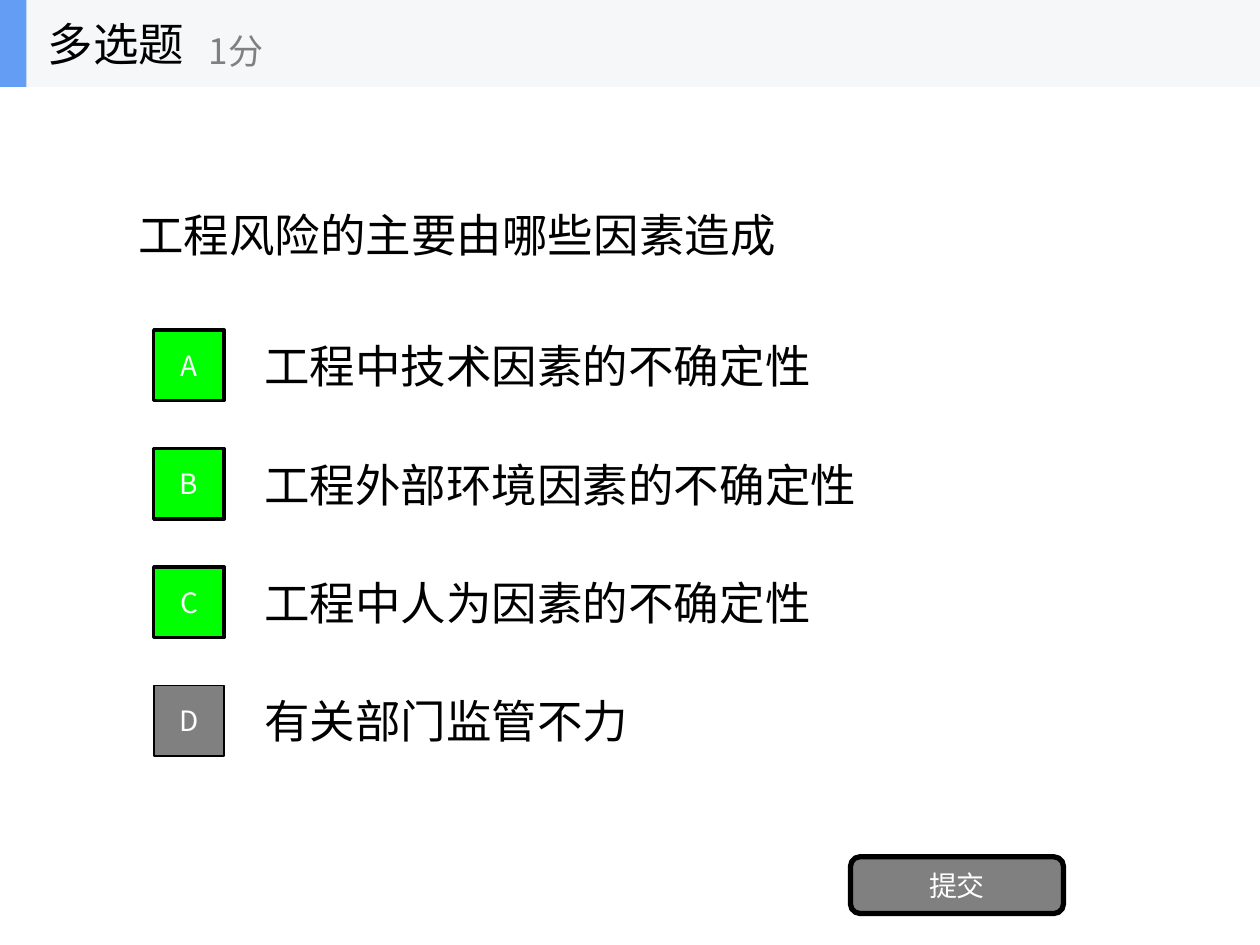
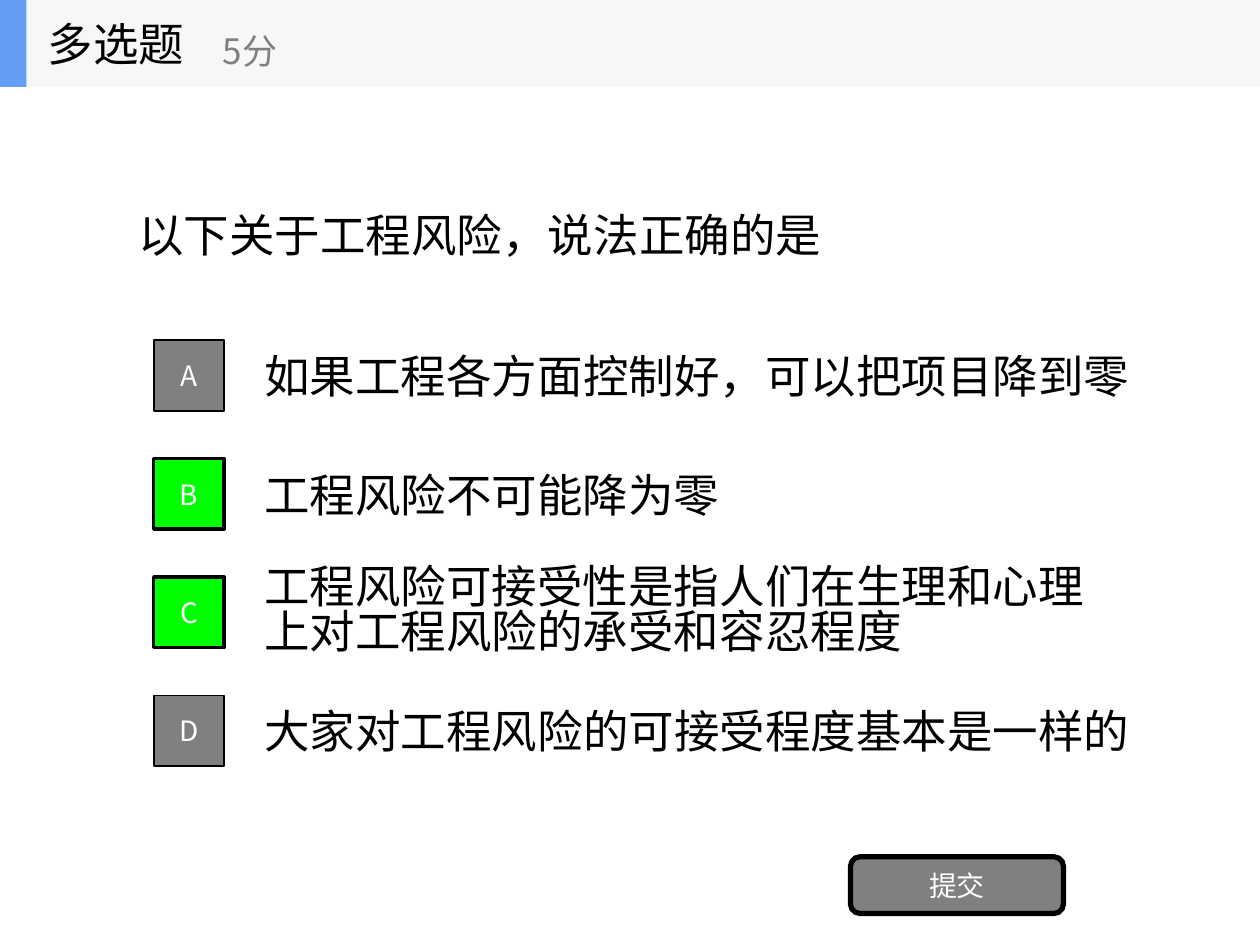
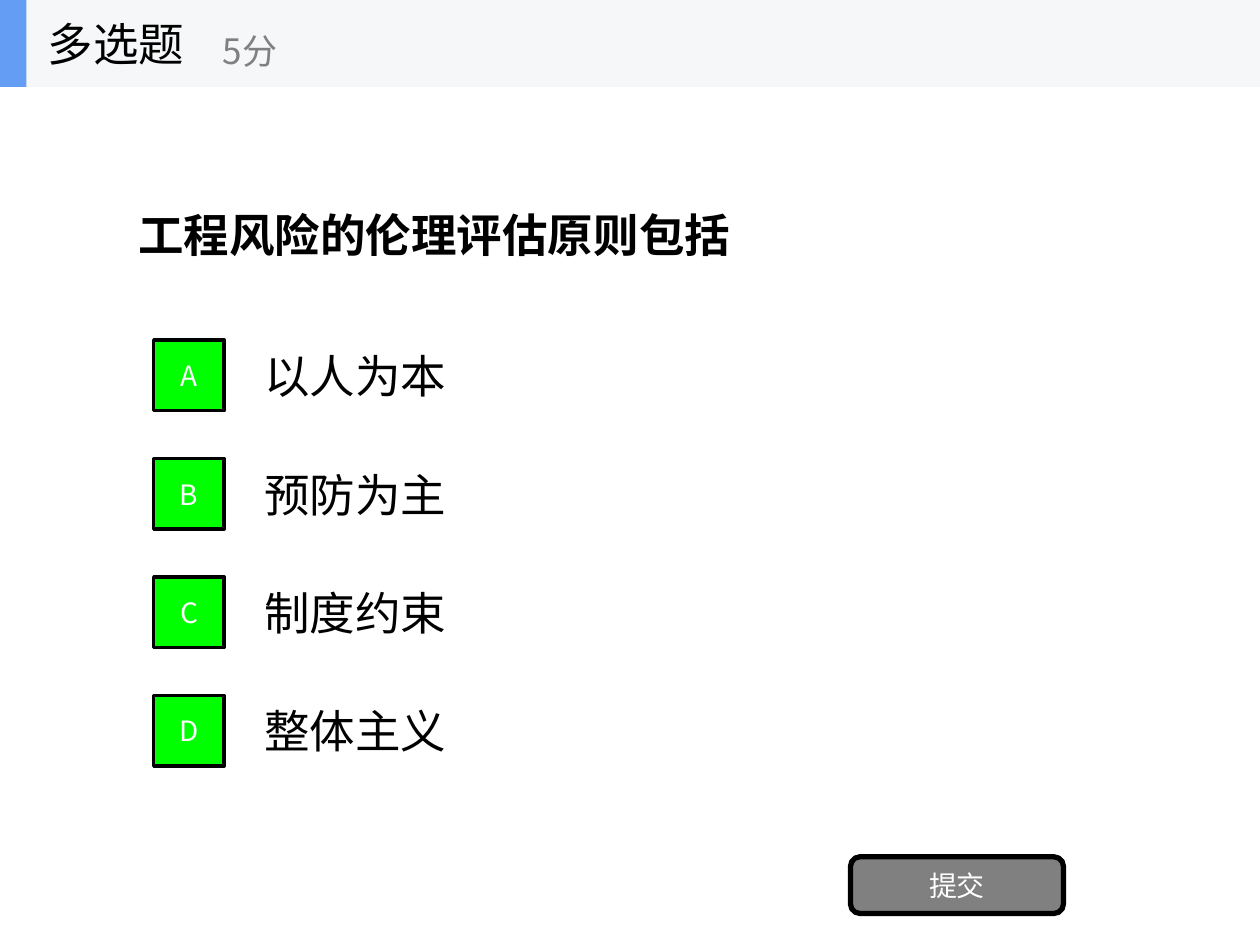
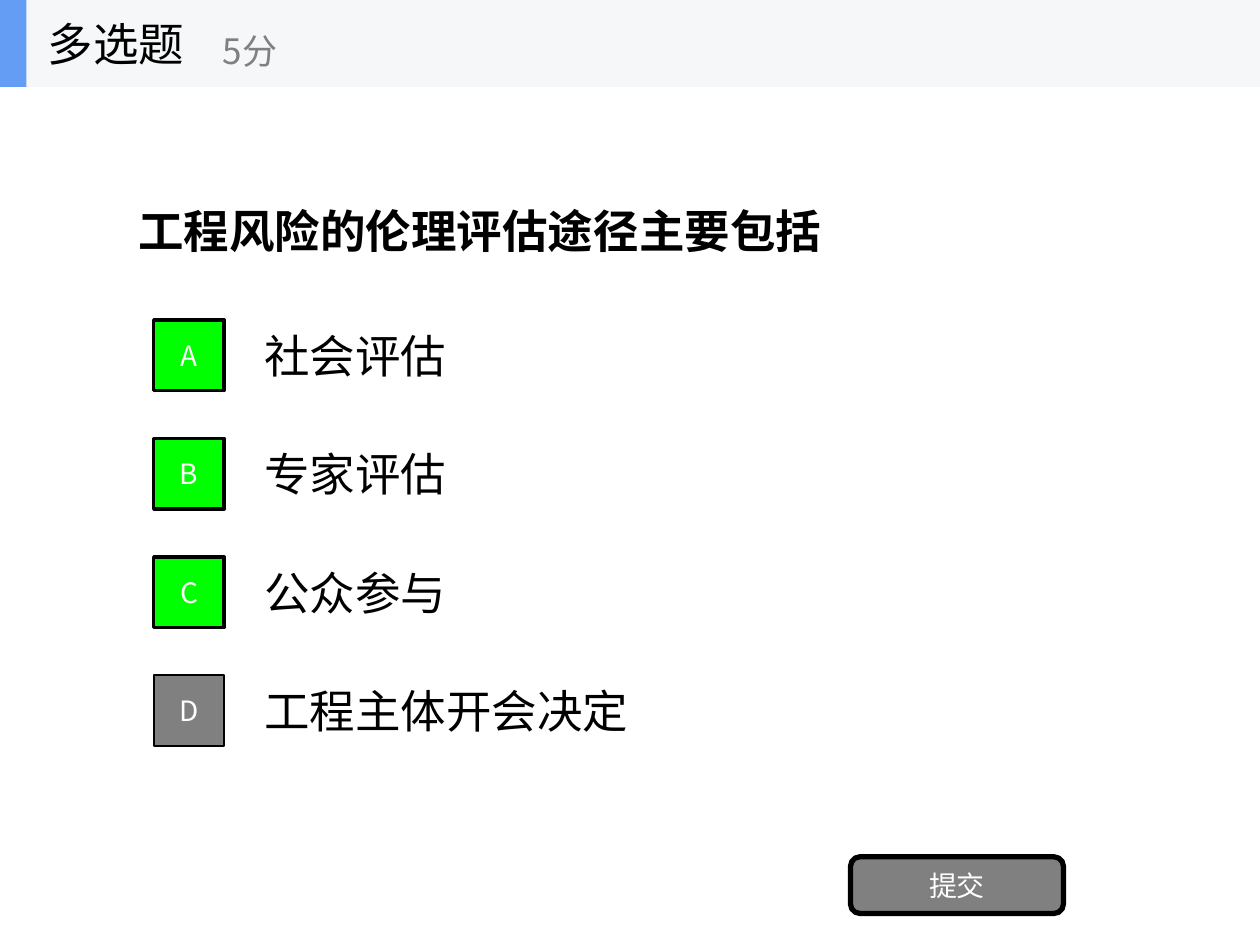
from pptx import Presentation
from pptx.dml.color import RGBColor
from pptx.enum import shapes, text
from pptx.oxml import ns, xmlchemy
from pptx.util import Inches, Pt

COLORS = {
    "ink": "000000",
    "white": "FFFFFF",
    "grey": "808080",
    "correct": "00FF00",
    "band": "F6F7F8",
    "accent": "639EF4",
}
BODY_FONT = "Noto Sans CJK SC"
HEADING_FONT = "Cabin"
BAND_HEIGHT = 0.69
ROW_PITCH = 0.94
MARKER_SIZE = 0.56

QUESTIONS = [
    {
        "score": "1分", "score_left": 1.56, "first_row": 2.62,
        "question": "工程风险的主要由哪些因素造成",
        "options": ["工程中技术因素的不确定性", "工程外部环境因素的不确定性",
                    "工程中人为因素的不确定性", "有关部门监管不力"],
        "correct": "ABC",
    },
    {
        "question": "以下关于工程风险，说法正确的是",
        "options": ["如果工程各方面控制好，可以把项目降到零", "工程风险不可能降为零",
                    "工程风险可接受性是指人们在生理和心理上对工程风险的承受和容忍程度",
                    "大家对工程风险的可接受程度基本是一样的"],
        "correct": "BC",
        "layout": {"A": {"width": 7.28}, "D": {"width": 7.48},
                   "C": {"height": 0.85, "spacing": 0.82}},
    },
    {
        "question": "工程风险的伦理评估原则包括", "bold": True,
        "options": ["以人为本", "预防为主", "制度约束", "整体主义"],
        "correct": "ABCD",
    },
    {
        "question": "工程风险的伦理评估途径主要包括", "bold": True,
        "question_top": 1.09, "question_height": 1.48, "first_row": 2.54,
        "options": ["社会评估", "专家评估", "公众参与", "工程主体开会决定"],
        "correct": "ABC",
    },
]


class QuizDeck:
    def __init__(self):
        self.deck = Presentation()
        self.deck.slide_width = Inches(10)
        self.deck.slide_height = Inches(7.5)
        self.page = None

    def color(self, name):
        return RGBColor.from_string(COLORS[name])

    def new_page(self):
        self.page = self.deck.slides.add_slide(self.deck.slide_layouts[6])
        fill = self.page.background.fill
        fill.solid()
        fill.fore_color.rgb = self.color("white")

    def set_words(self, box, words, size, color, bold=False, centred=False, spacing=None):
        frame = box.text_frame
        frame.text = words
        frame.vertical_anchor = text.MSO_ANCHOR.MIDDLE
        para = frame.paragraphs[0]
        para.alignment = text.PP_ALIGN.CENTER if centred else text.PP_ALIGN.LEFT
        if spacing:
            para.line_spacing = spacing
        for span in para.runs:
            font = span.font
            font.name = HEADING_FONT if bold else BODY_FONT
            font.size = Pt(size)
            font.bold = bold
            font.color.rgb = self.color(color)
            east_asian = xmlchemy.OxmlElement("a:ea")
            east_asian.set("typeface", BODY_FONT)
            font._element.find(ns.qn("a:latin")).addnext(east_asian)

    def label(self, place, words, size=26, color="ink", wrap=True, parent=None, **style):
        box = (parent or self.page).shapes.add_textbox(*map(Inches, place))
        box.text_frame.word_wrap = wrap
        box.text_frame.auto_size = text.MSO_AUTO_SIZE.NONE
        self.set_words(box, words, size, color, **style)

    def block(self, place, fill, line=0, words=None, kind="RECTANGLE", parent=None):
        box = (parent or self.page).shapes.add_shape(
            shapes.MSO_SHAPE[kind], *map(Inches, place))
        box.shadow.inherit = False
        box.fill.solid()
        box.fill.fore_color.rgb = self.color(fill)
        if line:
            box.line.color.rgb = self.color("ink")
            box.line.width = Pt(line)
        else:
            box.line.fill.background()
        if words:
            self.set_words(box, words, 16, "white", centred=True)

    def options(self, answers, correct, first_row, layout):
        rows = [(letter, answer, first_row + index * ROW_PITCH)
                for index, (letter, answer) in enumerate(zip("ABCD", answers))]
        for letter, answer, top in rows:
            style = dict(layout.get(letter, {}))
            width = style.pop("width", 7)
            height = style.pop("height", 0.7)
            centred_top = top + (MARKER_SIZE - height) / 2
            self.label((2, centred_top, width, height), answer, **style)
        for letter, answer, top in rows:
            fill, line = ("correct", 2) if letter in correct else ("grey", 1)
            self.block((1.22, top, MARKER_SIZE, MARKER_SIZE), fill, line, letter)

    def submit_button(self):
        self.block((6.75, 6.8, 1.69, 0.45), "grey", 3, "提交", "ROUNDED_RECTANGLE")

    def header(self, score, score_left):
        group = self.page.shapes.add_group_shape()
        self.block((0, 0, 10, BAND_HEIGHT), "band", parent=group)
        self.block((0, 0, 0.21, BAND_HEIGHT), "accent", parent=group)
        self.label((0.28, 0, 2.08, BAND_HEIGHT), "多选题", wrap=False, parent=group)
        self.label((score_left, 0.12, 2.5, 0.56), score, 20, "grey",
                   wrap=False, parent=group)

    def question_page(self, question, options, correct, score="5分", score_left=1.67,
                      first_row=2.7, question_top=BAND_HEIGHT, question_height=2.34,
                      bold=False, layout=None):
        self.new_page()
        self.label((1, question_top, 8, question_height), question, bold=bold)
        self.options(options, correct, first_row, layout or {})
        self.submit_button()
        self.header(score, score_left)


def main():
    quiz = QuizDeck()
    for question in QUESTIONS:
        quiz.question_page(**question)
    quiz.deck.save("out.pptx")


if __name__ == "__main__":
    main()
